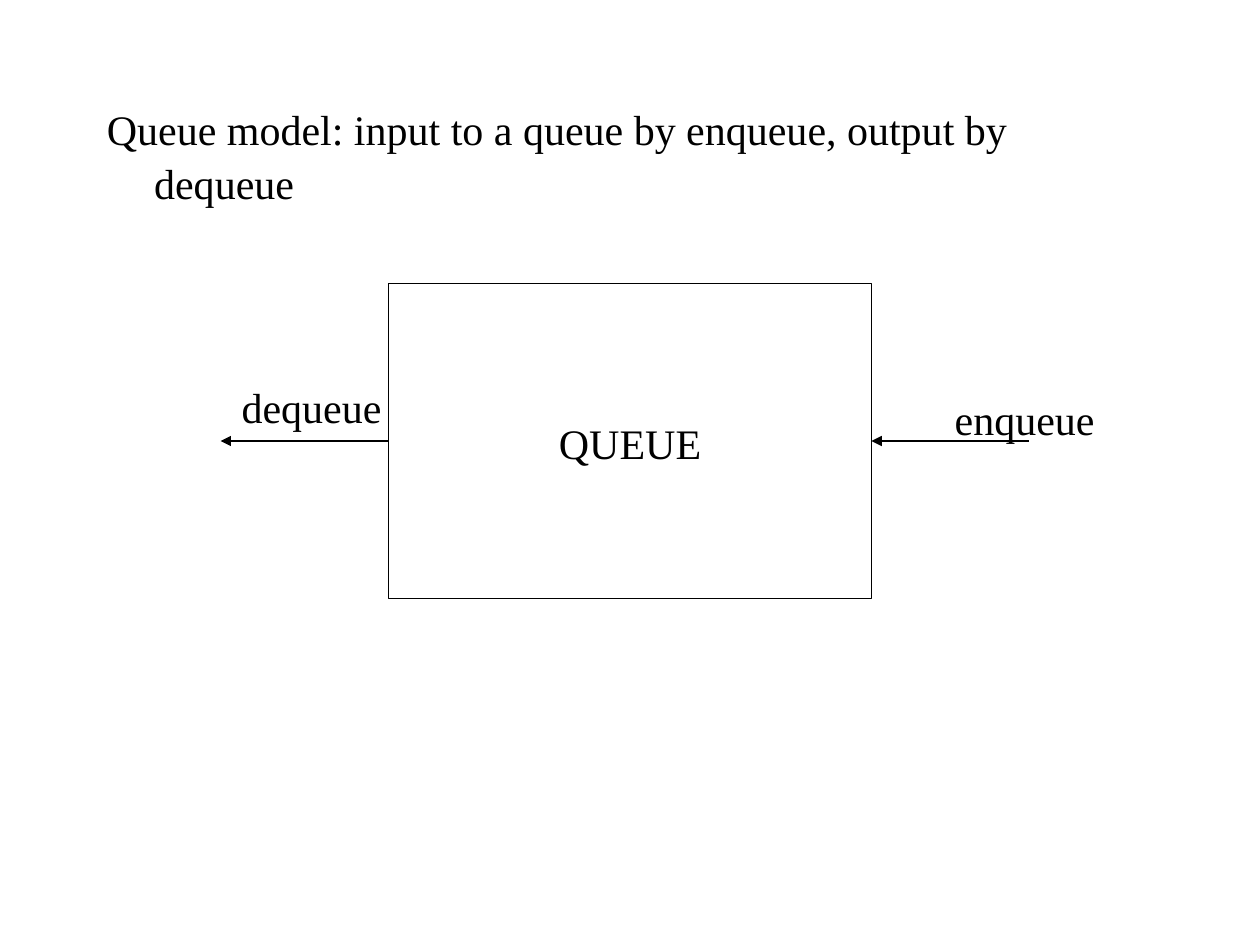
from pptx import Presentation
from pptx.dml.color import RGBColor
from pptx.enum.shapes import MSO_CONNECTOR, MSO_SHAPE
from pptx.enum.text import MSO_ANCHOR, PP_ALIGN
from pptx.oxml.ns import qn
from pptx.util import Pt
from lxml.etree import SubElement

# Content
HEADING = "Queue model: input to a queue by enqueue, output by dequeue"
QUEUE = "QUEUE"
LABELS = [("dequeue", 131, 213), ("enqueue", 538.5, 219.5)]  # text, left, top

# Layout: the queue box sets the height and the inner ends of the arrows
LEFT, TOP, WIDTH, HEIGHT = 222, 162, 276, 180
MIDDLE = TOP + HEIGHT / 2
ARROWS = [(LEFT, 126), (588, LEFT + WIDTH)]  # start x, tip x
INDENT = 27

THEME = {
    "ink": RGBColor(0, 0, 0),
    "paper": RGBColor(255, 255, 255),
    "line": Pt(0.75),
    "font": {"name": "Times New Roman", "size": Pt(24)},
}


def write(sp, text, wrap=False, align=PP_ALIGN.LEFT, anchor=MSO_ANCHOR.TOP):
    tf = sp.text_frame
    tf.word_wrap = wrap
    tf.vertical_anchor = anchor
    p = tf.paragraphs[0]
    p.alignment = align
    p.line_spacing = 1.06
    r = p.add_run()
    r.text = text
    for key, value in THEME["font"].items():
        setattr(r.font, key, value)
    r.font.color.rgb = THEME["ink"]
    return p


def outline(sp):
    sp.line.color.rgb = THEME["ink"]
    sp.line.width = THEME["line"]


prs = Presentation()
prs.slide_width, prs.slide_height = Pt(720), Pt(540)
s = prs.slides.add_slide(prs.slide_layouts[6])

# Queue box
box = s.shapes.add_shape(MSO_SHAPE.RECTANGLE, Pt(LEFT), Pt(TOP), Pt(WIDTH), Pt(HEIGHT))
box.shadow.inherit = False
box.fill.solid()
box.fill.fore_color.rgb = THEME["paper"]
outline(box)
write(box, QUEUE, align=PP_ALIGN.CENTER, anchor=MSO_ANCHOR.MIDDLE)

# Arrows out of and into the queue
for start, tip in ARROWS:
    arrow = s.shapes.add_connector(
        MSO_CONNECTOR.STRAIGHT, Pt(start), Pt(MIDDLE), Pt(tip), Pt(MIDDLE))
    outline(arrow)
    SubElement(arrow.line._get_or_add_ln(), qn("a:tailEnd"), type="triangle")
    SubElement(arrow._element.spPr, qn("a:effectLst"))

# Arrow labels
for text, left, top in LABELS:
    write(s.shapes.add_textbox(Pt(left), Pt(top), Pt(94.5), Pt(36)), text)

# Heading with a hanging indent
heading = s.shapes.add_textbox(Pt(54), Pt(54), Pt(612), Pt(426))
p = write(heading, HEADING, wrap=True)
pPr = p._p.get_or_add_pPr()
pPr.set("marL", str(Pt(INDENT)))
pPr.set("indent", str(Pt(-INDENT)))

prs.save("out.pptx")
